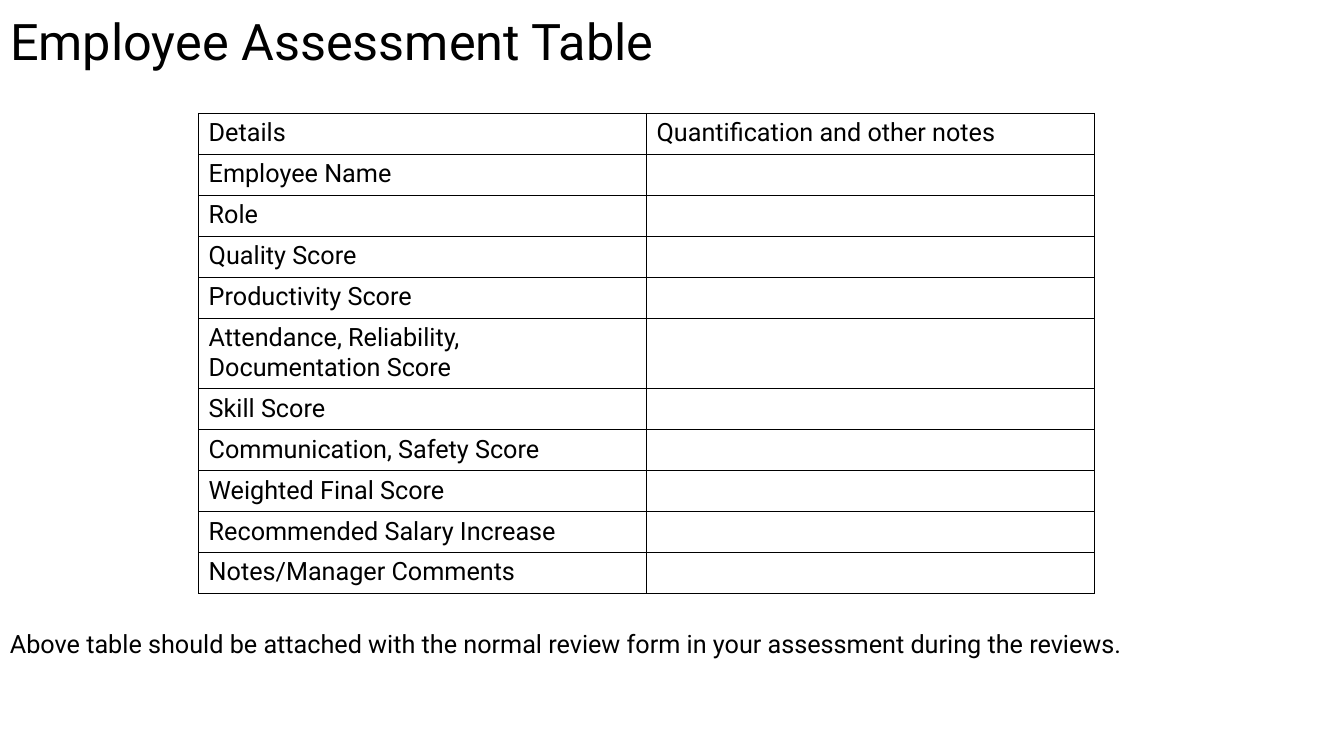
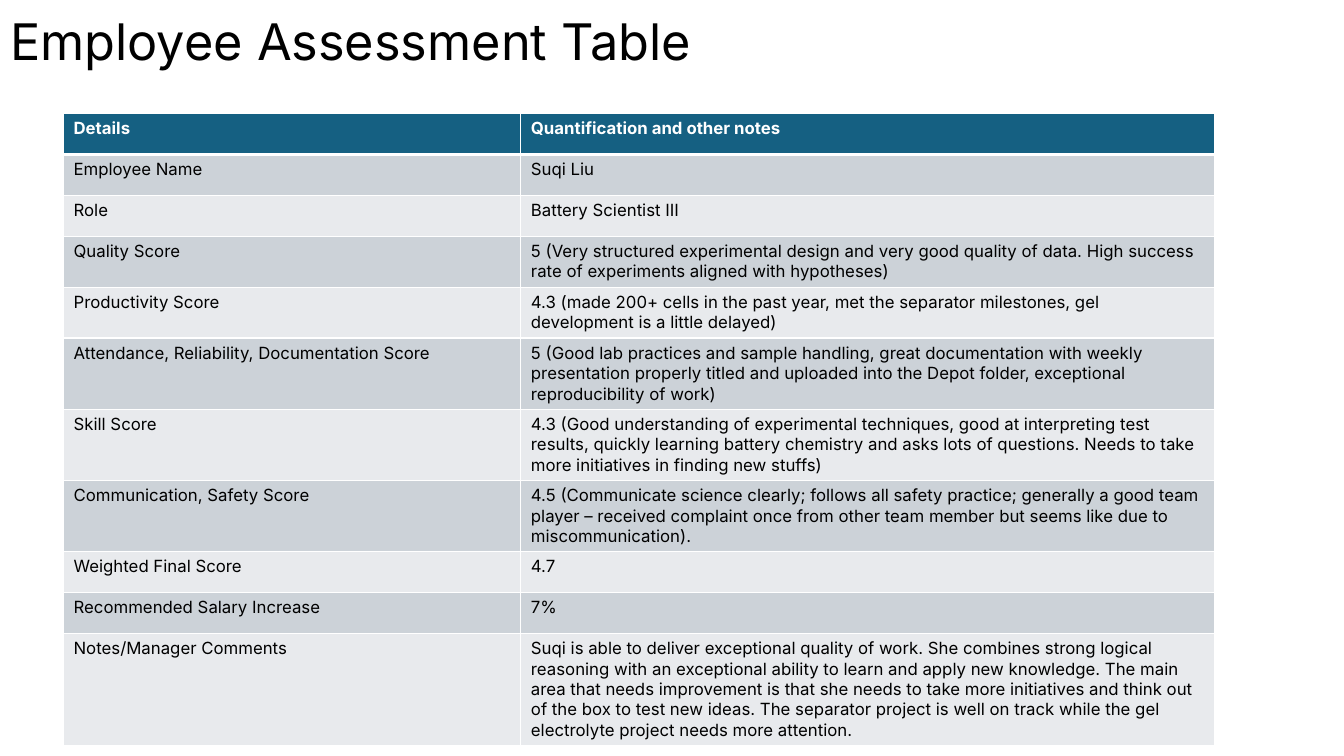
from dataclasses import dataclass
from lxml import etree
from pptx import Presentation
from pptx.dml.color import RGBColor
from pptx.enum.text import MSO_ANCHOR, PP_ALIGN
from pptx.oxml.ns import qn
from pptx.util import Inches, Pt

LEFT = PP_ALIGN.LEFT
MIDDLE = MSO_ANCHOR.MIDDLE
TITLE_ONLY = 5


@dataclass(frozen=True)
class Theme:
    ink: str = "000000"
    paper: str = "FFFFFF"
    head: str = "156082"
    bands: tuple = ("E8EAED", "CCD2D8")
    title: int = 36
    body: int = 18
    small: int = 12
    thin: int = 1
    thick: int = 3


theme = Theme()
deck = Presentation()
deck.slide_width, deck.slide_height = Inches(13.33), Inches(7.5)


def share(x, y):
    return int(deck.slide_width * x / 100), int(deck.slide_height * y / 100)


def write(frame, text, face, size, color, bold=False):
    line = frame.paragraphs[0]
    line.alignment = LEFT
    run = line.add_run()
    run.text = text
    for key, value in {"name": face, "size": Pt(size), "bold": bold}.items():
        setattr(run.font, key, value)
    run.font.color.rgb = RGBColor.from_string(color)


labels = [
    "Details",
    "Employee Name",
    "Role",
    "Quality Score",
    "Productivity Score",
    "Attendance, Reliability, Documentation Score",
    "Skill Score",
    "Communication, Safety Score",
    "Weighted Final Score",
    "Recommended Salary Increase",
    "Notes/Manager Comments",
]
heading = "Quantification and other notes"
blanks = [heading] + [""] * (len(labels) - 1)
review = [
    heading,
    "Suqi Liu",
    "Battery Scientist III",
    "5 (Very structured experimental design and very good quality of data. "
    "High success rate of experiments aligned with hypotheses)",
    "4.3 (made 200+ cells in the past year, met the separator milestones, "
    "gel development is a little delayed)",
    "5 (Good lab practices and sample handling, great documentation with weekly "
    "presentation properly titled and uploaded into the Depot folder, "
    "exceptional reproducibility of work)",
    "4.3 (Good understanding of experimental techniques, good at interpreting "
    "test results, quickly learning battery chemistry and asks lots of "
    "questions. Needs to take more initiatives in finding new stuffs)",
    "4.5 (Communicate science clearly; follows all safety practice; generally a "
    "good team player – received complaint once from other team member but "
    "seems like due to miscommunication).",
    "4.7",
    "7%",
    "Suqi is able to deliver exceptional quality of work. She combines strong "
    "logical reasoning with an exceptional ability to learn and apply new "
    "knowledge. The main area that needs improvement is that she needs to take "
    "more initiatives and think out of the box to test new ideas. The separator "
    "project is well on track while the gel electrolyte project needs more "
    "attention.",
]
pages = [
    {"face": "Roboto", "size": theme.body, "left": 14.78, "cols": (33.33, 33.33),
     "notes": blanks, "rule": theme.ink, "filled": False,
     "foot": "Above table should be attached with the normal review form "
             "in your assessment during the reviews."},
    {"face": "Inter", "size": theme.small, "left": 4.73, "cols": (34.03, 51.65),
     "notes": review, "rule": theme.paper, "filled": True, "foot": ""},
]
top, step = 15, 5.42

for page in pages:
    face, filled = page["face"], page["filled"]
    slide = deck.slides.add_slide(deck.slide_layouts[TITLE_ONLY])
    title = slide.shapes.title
    title.left, title.top = share(0, 0)
    title.width, title.height = share(86.25, 11.75)
    title.text_frame.vertical_anchor = MIDDLE
    write(title.text_frame, "Employee Assessment Table", face, theme.title, theme.ink)
    title.text_frame.paragraphs[0].line_spacing = 0.9

    if page["foot"]:
        foot = slide.shapes.add_textbox(*share(0, 82.5), *share(100, 9.5))
        foot.text_frame.word_wrap = True
        write(foot.text_frame, page["foot"], face, page["size"], theme.ink)

    table = slide.shapes.add_table(
        len(labels), 2, *share(page["left"], top),
        *share(sum(page["cols"]), step * len(labels))).table
    table.first_row = table.horz_banding = False
    for col, width in zip(table.columns, page["cols"]):
        col.width = share(width, 0)[0]

    for r, texts in enumerate(zip(labels, page["notes"])):
        table.rows[r].height = share(0, step)[1]
        lead = filled and r == 0
        color = theme.paper if lead else theme.ink
        for c, text in enumerate(texts):
            cell = table.cell(r, c)
            if text:
                write(cell.text_frame, text, face, page["size"], color, lead)
            props = cell._tc.get_or_add_tcPr()
            for side in "LRTB":
                heavy = filled and (r, side) in ((0, "B"), (1, "T"))
                weight = Pt(theme.thick if heavy else theme.thin)
                edge = etree.SubElement(props, qn("a:ln" + side), w=str(weight))
                paint = etree.SubElement(edge, qn("a:solidFill"))
                etree.SubElement(paint, qn("a:srgbClr"), val=page["rule"])
            if filled:
                cell.fill.solid()
                tint = theme.head if lead else theme.bands[r % 2]
                cell.fill.fore_color.rgb = RGBColor.from_string(tint)
            else:
                cell.fill.background()

deck.save("out.pptx")
